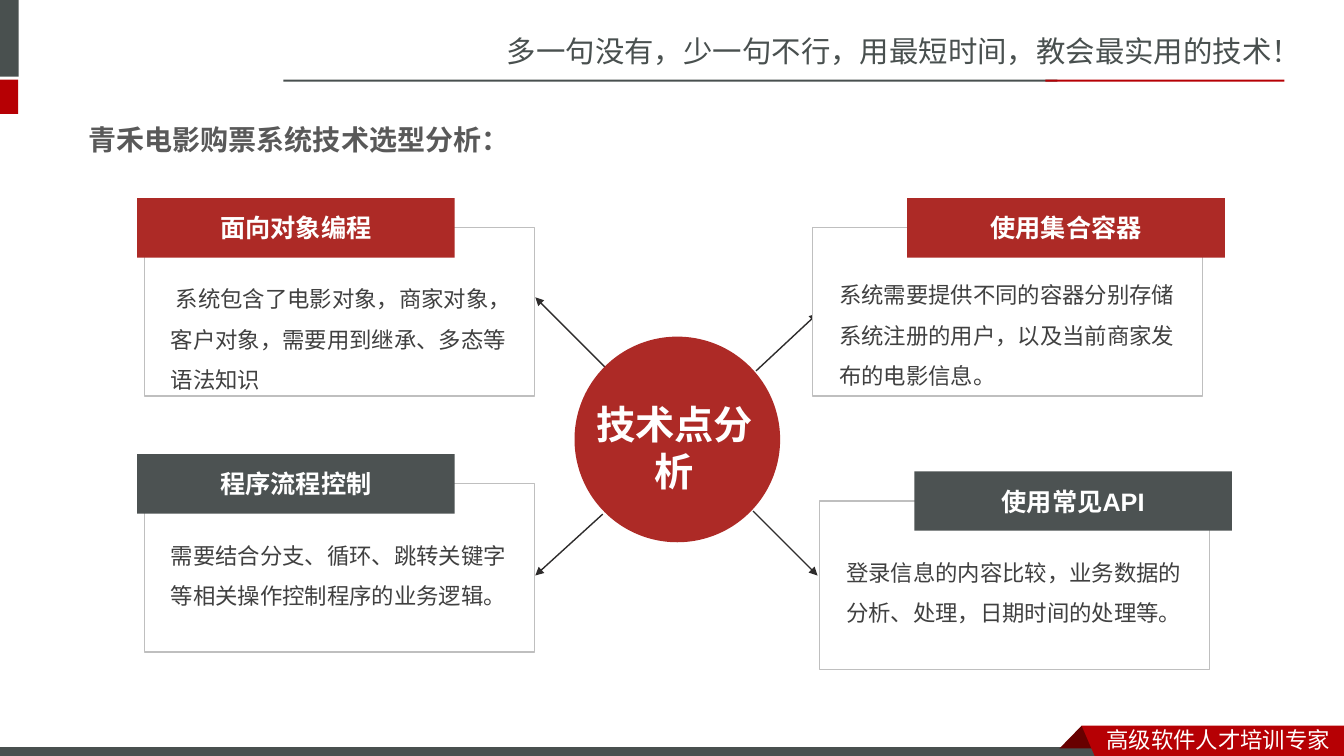
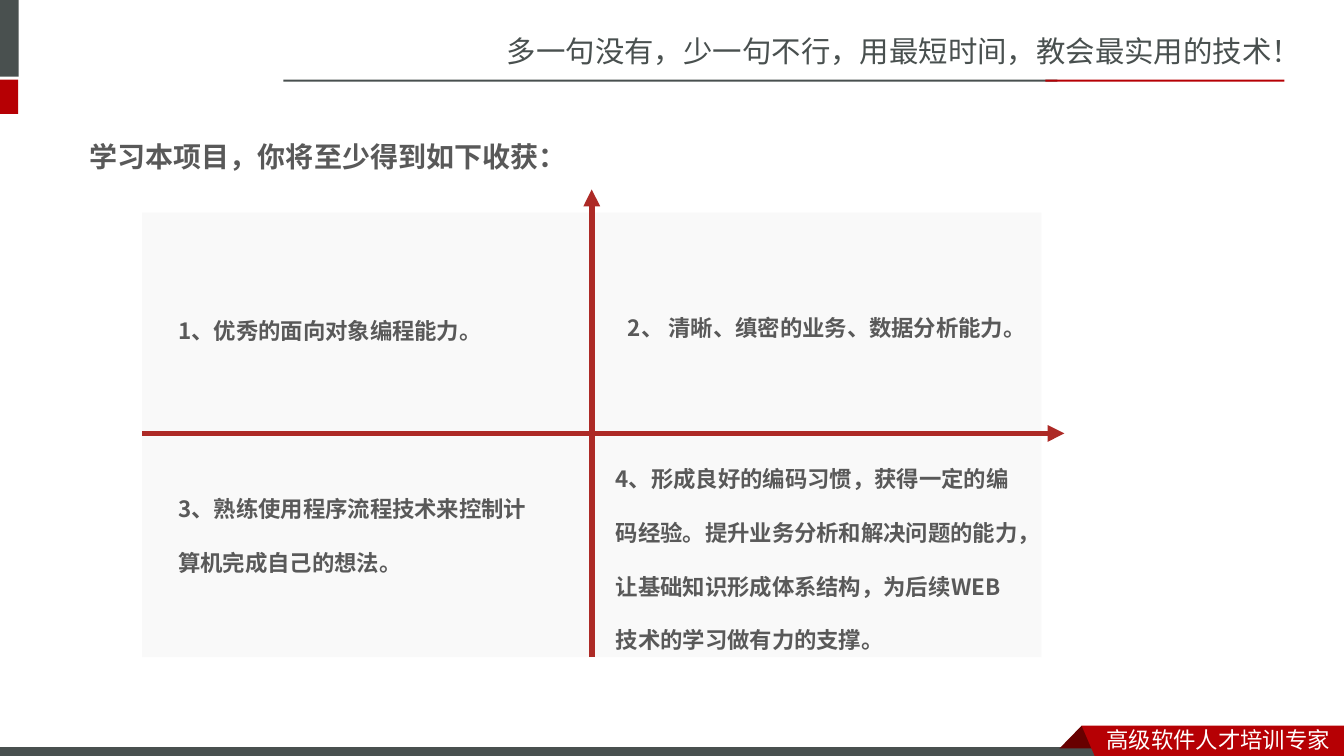
from lxml import etree
from pptx import Presentation
from pptx.dml.color import RGBColor
from pptx.enum.shapes import MSO_CONNECTOR, MSO_SHAPE
from pptx.enum.text import MSO_ANCHOR, PP_ALIGN
from pptx.oxml.ns import qn
from pptx.util import Inches, Pt

RECTANGLE, OVAL = MSO_SHAPE.RECTANGLE, MSO_SHAPE.OVAL
STRAIGHT = MSO_CONNECTOR.STRAIGHT
LEFT, CENTER = PP_ALIGN.LEFT, PP_ALIGN.CENTER
TOP, MIDDLE = MSO_ANCHOR.TOP, MSO_ANCHOR.MIDDLE

COLORS = {
    "slate": "49504F", "red": "B60004", "fold": "680000", "white": "FFFFFF",
    "brick": "AD2A26", "charcoal": "4C5252", "ink": "2E2C2C", "border": "BFBFBF",
    "body": "404040", "title": "595959", "quadrant": "F9F9F9",
}
CHINESE_FONT = "Noto Sans CJK SC"
BODY_FONT = "Noto Sans CJK JP"

presentation = Presentation()
presentation.slide_width, presentation.slide_height = Inches(13.33), Inches(7.5)

# All positions and sizes are percentages of the slide's width and height.
COLUMN = presentation.slide_width / 100
ROW = presentation.slide_height / 100


def place(slide, kind, left, top, width, height, fill=None, line=None, line_width=1):
    """Add a preset shape, or a text box when kind is None."""
    area = [round(n) for n in (left * COLUMN, top * ROW, width * COLUMN, height * ROW)]
    if kind is None:
        return slide.shapes.add_textbox(*area)
    shape = slide.shapes.add_shape(kind, *area)
    shape.shadow.inherit = False
    shape.fill.solid()
    shape.fill.fore_color.rgb = RGBColor.from_string(COLORS[fill])
    if line:
        shape.line.color.rgb = RGBColor.from_string(COLORS[line])
        shape.line.width = Pt(line_width)
    else:
        shape.line.fill.background()
    return shape


def write(shape, text, size=16, color="body", font=BODY_FONT, east_asian=None,
          bold=False, align=LEFT, anchor=TOP, spacing=None):
    frame = shape.text_frame
    frame.word_wrap = True
    frame.vertical_anchor = anchor
    paragraph = frame.paragraphs[0]
    paragraph.alignment = align
    paragraph.line_spacing = spacing
    run = paragraph.add_run()
    run.text = text
    run.font.size, run.font.bold, run.font.name = Pt(size), bold, font
    run.font.color.rgb = RGBColor.from_string(COLORS[color])
    properties = run.font._element
    etree.SubElement(properties, qn("a:ea"), typeface=east_asian or font)


# Shared frame and title of each slide
titles = [
    ("青禾电影购票系统技术选型分析：", 5.85, 14.67, BODY_FONT),
    ("学习本项目，你将至少得到如下收获：", 5.93, 16.93, "Roboto"),
]
bands = [
    (0, 0, 1.4, 10.13, "slate"),
    (0, 10.53, 1.35, 4.53, "red"),
    (21.08, 10.53, 57.6, 0.27, "slate"),
    (77.78, 10.53, 17.78, 0.27, "red"),
]
ribbon_parts = [
    ("fold", [(80.48, 96), (82.13, 99), (78.83, 99)]),
    ("red", [(80.48, 96), (100, 96), (100, 100), (81.45, 100)]),
]
for title, left, top, font in titles:
    slide = presentation.slides.add_slide(presentation.slide_layouts[6])
    write(place(slide, None, 36.98, 3.73, 63, 6.27),
          "多一句没有，少一句不行，用最短时间，教会最实用的技术！",
          size=21, color="slate", font=CHINESE_FONT)
    for band in bands:
        place(slide, RECTANGLE, *band)
    place(slide, RECTANGLE, -0.1, 98.8, 82.5, 1.6, "slate", "white", 0.75)
    for color, points in ribbon_parts:
        corners = [(round(x * COLUMN), round(y * ROW)) for x, y in points]
        builder = slide.shapes.build_freeform(*corners[0])
        builder.add_line_segments(corners[1:], close=True)
        part = builder.convert_to_shape()
        part.shadow.inherit = False
        part.fill.solid()
        part.fill.fore_color.rgb = RGBColor.from_string(COLORS[color])
        part.line.fill.background()
    write(place(slide, None, 81.6, 95.33, 18.38, 4.93), "高级软件人才培训专家",
          color="white", font=CHINESE_FONT)
    write(place(slide, None, left, top, 88.2, 7.6), title, size=20, color="title",
          font=font, east_asian=BODY_FONT, bold=True, anchor=MIDDLE)

analysis, gains = presentation.slides

# Quadrant backgrounds lie beneath the axes
for top in (28.13, 57.73):
    for left in (10.58, 44.03):
        place(gains, RECTANGLE, left, top, 33.45, 29.2, "quadrant")

arrows = [
    (analysis, 56.25, 49.07, 60.83, 41.47, "ink", 1),
    (analysis, 56.03, 67.6, 60.83, 76.13, "ink", 1),
    (analysis, 45.08, 48.67, 39.83, 39.33, "ink", 1),
    (analysis, 44.85, 68, 39.83, 76.13, "ink", 1),
    (gains, 10.58, 57.33, 79.2, 57.33, "brick", 4),
    (gains, 44.03, 86.93, 44.03, 25.07, "brick", 4),
]
for slide, x1, y1, x2, y2, color, width in arrows:
    arrow = slide.shapes.add_connector(
        STRAIGHT, round(x1 * COLUMN), round(y1 * ROW), round(x2 * COLUMN), round(y2 * ROW))
    arrow.line.color.rgb = RGBColor.from_string(COLORS[color])
    arrow.line.width = Pt(width)
    etree.SubElement(arrow.line._get_or_add_ln(), qn("a:tailEnd"), type="triangle")
    etree.SubElement(arrow._element.spPr, qn("a:effectLst"))

# Technology hub and its four topics
place(analysis, OVAL, 42.75, 44.53, 15.3, 27.2, "brick")
write(place(analysis, None, 42.53, 52.27, 15.3, 13.87), "技术点分析",
      size=28, color="white", bold=True, align=CENTER)

LEFT_TAB, RIGHT_TAB = -0.53, 7.05
topics = [
    (60.98, 66.27, RIGHT_TAB, 5.2, "charcoal", "使用常见API",
     "登录信息的内容比较，业务数据的分析、处理，日期时间的处理等。"),
    (60.45, 30.13, RIGHT_TAB, 4.67, "brick", "使用集合容器",
     "系统需要提供不同的容器分别存储系统注册的用户，以及当前商家发布的电影信息。"),
    (10.73, 30.13, LEFT_TAB, 5.2, "brick", "面向对象编程",
     " 系统包含了电影对象，商家对象，客户对象，需要用到继承、多态等语法知识"),
    (10.73, 64, LEFT_TAB, 5.3, "charcoal", "程序流程控制",
     "需要结合分支、循环、跳转关键字等相关操作控制程序的业务逻辑。"),
]
for left, top, tab_shift, text_shift, color, heading, body in topics:
    place(analysis, RECTANGLE, left, top, 29.03, 22.27, "white", "border")
    tab = place(analysis, RECTANGLE, left + tab_shift, top - 3.93, 23.63, 7.87, color)
    write(tab, heading, size=18, color="white", font="Arial", east_asian=CHINESE_FONT,
          bold=True, align=CENTER, anchor=MIDDLE)
    write(place(analysis, None, left + 1.25, top + text_shift, 27.83, 16.93), body,
          spacing=1.5)

# Gains, one in each quadrant
gain_texts = [
    (12.53, 37.73, 27.75, 7.6, "1、优秀的面向对象编程能力。"),
    (45.98, 37.33, 29.63, 15, "2、 清晰、缜密的业务、数据分析能力。"),
    (12.53, 61.33, 27.75, 14.8, "3、熟练使用程序流程技术来控制计算机完成自己的想法。"),
    (45.08, 57.33, 31.5, 29.07,
     "4、形成良好的编码习惯，获得一定的编码经验。提升业务分析和解决问题的能力，"
     "让基础知识形成体系结构，为后续WEB技术的学习做有力的支撑。"),
]
for left, top, width, height, text in gain_texts:
    write(place(gains, None, left, top, width, height), text,
          color="title", bold=True, spacing=2.0)

presentation.save("out.pptx")
